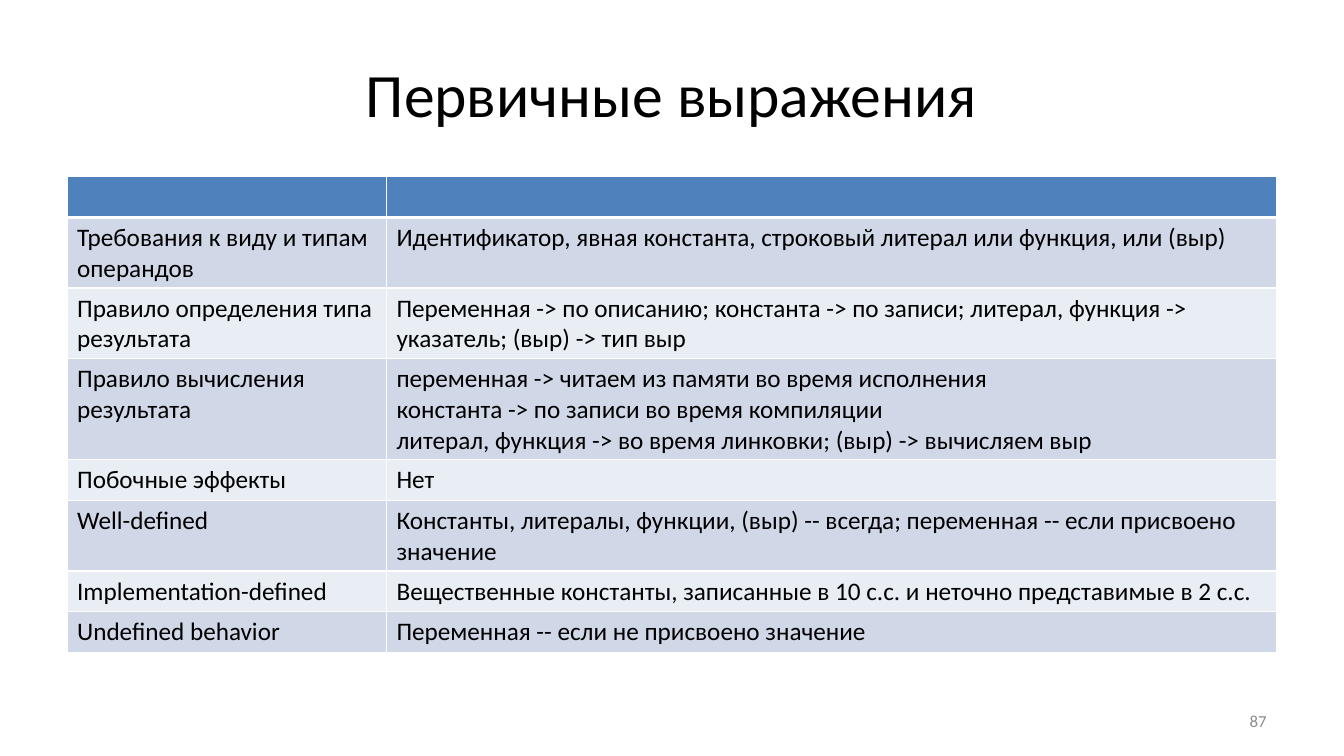
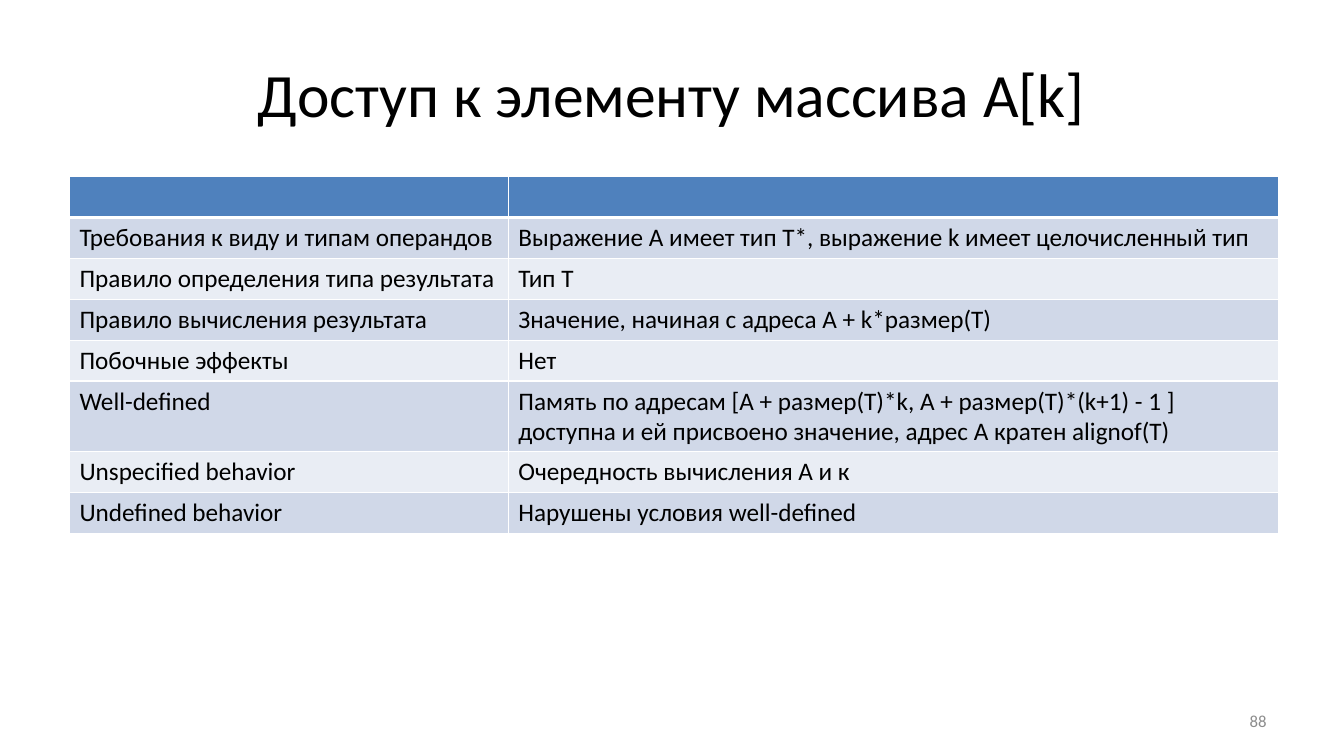
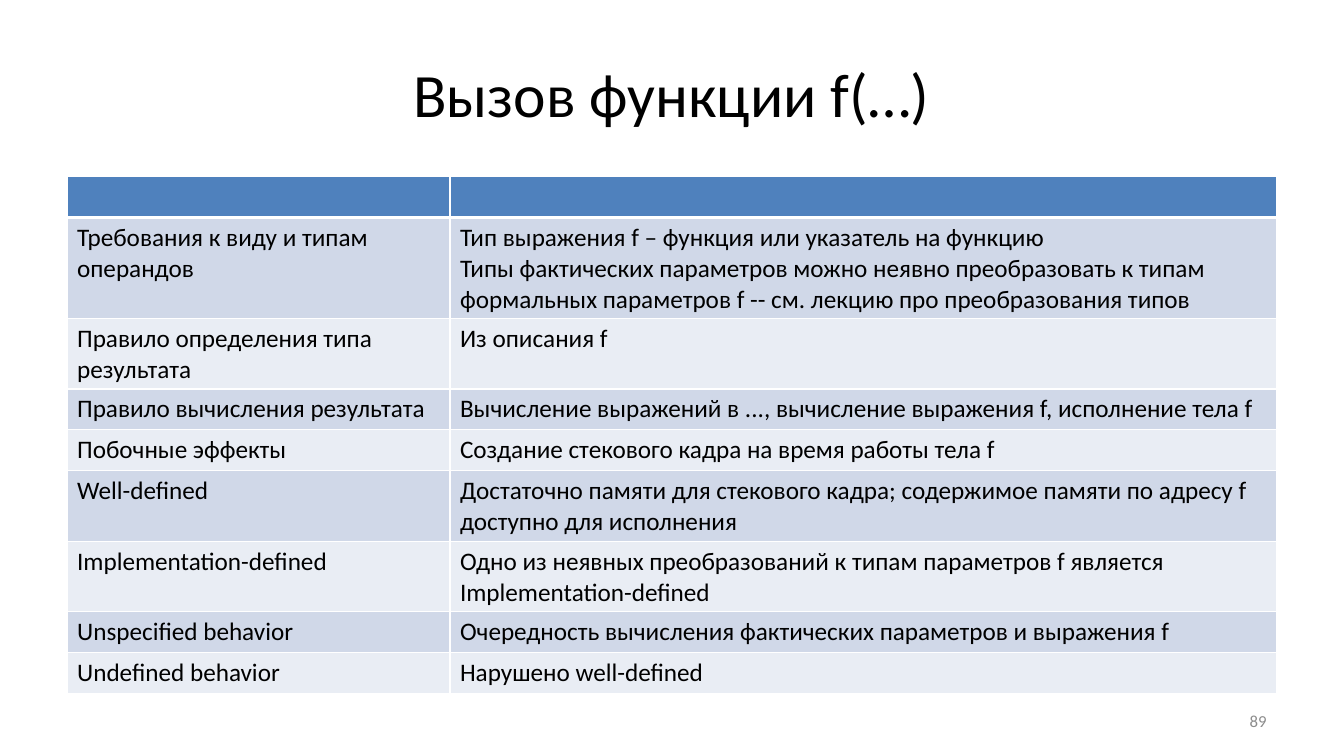
from lxml import etree
from pptx import Presentation
from pptx.dml.color import RGBColor
from pptx.enum import text
from pptx.oxml import ns
from pptx.util import Cm, Pt

BLACK = RGBColor(0x00, 0x00, 0x00)
WHITE = RGBColor(0xFF, 0xFF, 0xFF)
GREY = RGBColor(0x8C, 0x8C, 0x8C)
HEADER = RGBColor(0x4F, 0x81, 0xBD)
BANDS = (RGBColor(0xD0, 0xD8, 0xE8), RGBColor(0xE9, 0xED, 0xF4))

FONT = "Calibri"
MARGIN = 1.69
CONTENT_WIDTH = 30.48
FIRST_PAGE = 87

OPERANDS = "Требования к виду и типам операндов"
RESULT_TYPE = "Правило определения типа результата"
RESULT_VALUE = "Правило вычисления результата"
SIDE_EFFECTS = "Побочные эффекты"
WELL_DEFINED = "Well-defined"
IMPLEMENTATION = "Implementation-defined"
UNSPECIFIED = "Unspecified behavior"
UNDEFINED = "Undefined behavior"

# Each lecture page: title, table left edge, label column width, rules
PAGES = [
    ("Первичные выражения", MARGIN, 8.05, [
        (OPERANDS, "Идентификатор, явная константа, строковый литерал или функция, или (выр)"),
        (RESULT_TYPE, "Переменная -> по описанию; константа -> по записи; "
                      "литерал, функция -> указатель; (выр) -> тип выр"),
        (RESULT_VALUE, "переменная -> читаем из памяти во время исполнения\n"
                       "константа -> по записи во время компиляции\n"
                       "литерал, функция -> во время линковки; (выр) -> вычисляем выр"),
        (SIDE_EFFECTS, "Нет"),
        (WELL_DEFINED, "Константы, литералы, функции, (выр) -- всегда; "
                       "переменная -- если присвоено значение"),
        (IMPLEMENTATION, "Вещественные константы, записанные в 10 с.с. "
                         "и неточно представимые в 2 с.с."),
        (UNDEFINED, "Переменная -- если не присвоено значение"),
    ]),
    ("Доступ к элементу массива A[k]", 1.75, 11.06, [
        (OPERANDS, "Выражение A имеет тип T*, выражение k имеет целочисленный тип"),
        (RESULT_TYPE, "Тип Т"),
        (RESULT_VALUE, "Значение, начиная с адреса A + k*размер(T)"),
        (SIDE_EFFECTS, "Нет"),
        (WELL_DEFINED, "Память по адресам [A + размер(T)*k, A + размер(T)*(k+1) - 1 ] "
                       "доступна и ей присвоено значение, адрес А кратен alignof(Т)"),
        (UNSPECIFIED, "Очередность вычисления А и к"),
        (UNDEFINED, "Нарушены условия well-defined"),
    ]),
    ("Вызов функции f(…)", MARGIN, 9.65, [
        (OPERANDS, "Тип выражения f – функция или указатель на функцию\n"
                   "Типы фактических параметров можно неявно преобразовать к типам "
                   "формальных параметров f -- см. лекцию про преобразования типов"),
        (RESULT_TYPE, "Из описания f"),
        (RESULT_VALUE, "Вычисление выражений в ..., вычисление выражения f, исполнение тела f"),
        (SIDE_EFFECTS, "Создание стекового кадра на время работы тела f"),
        (WELL_DEFINED, "Достаточно памяти для стекового кадра; "
                       "содержимое памяти по адресу f доступно для исполнения"),
        (IMPLEMENTATION, "Одно из неявных преобразований к типам параметров f "
                         "является Implementation-defined"),
        (UNSPECIFIED, "Очередность вычисления фактических параметров и выражения f"),
        (UNDEFINED, "Нарушено well-defined"),
    ]),
]


class Deck:
    """Holds the shared style and the slide being filled."""

    def __init__(self):
        self.presentation = Presentation()
        self.presentation.slide_width = Cm(33.87)
        self.presentation.slide_height = Cm(19.05)
        self.slide = None

    def add_slide(self, title, page):
        layout = self.presentation.slide_layouts[5]
        self.slide = self.presentation.slides.add_slide(layout)
        self.add_title(title)
        self.add_page_number(page)

    def set_text(self, frame, content, size, color=BLACK, align=text.PP_ALIGN.LEFT):
        frame.text = content
        for paragraph in frame.paragraphs:
            paragraph.alignment = align
            for run in paragraph.runs:
                run.font.name = FONT
                run.font.size = Pt(size)
                run.font.bold = False
                run.font.color.rgb = color

    def add_title(self, content):
        title = self.slide.shapes.title
        title.left, title.top = Cm(MARGIN), Cm(0.76)
        title.width, title.height = Cm(CONTENT_WIDTH), Cm(3.18)
        title.text_frame.vertical_anchor = text.MSO_ANCHOR.MIDDLE
        self.set_text(title.text_frame, content, 44, align=text.PP_ALIGN.CENTER)

    def add_page_number(self, page):
        width = 7.9
        left = MARGIN + CONTENT_WIDTH - width
        number = self.slide.shapes.add_textbox(Cm(left), Cm(17.65), Cm(width), Cm(1.01))
        number.text_frame.word_wrap = True
        number.text_frame.vertical_anchor = text.MSO_ANCHOR.MIDDLE
        self.set_text(number.text_frame, str(page), 12, GREY, text.PP_ALIGN.RIGHT)

    def add_rules(self, left, label_width, rules):
        """Add a banded two-column table under an empty header row."""
        rows = [("", "")] + rules
        row_height = Cm(1.03)
        table = self.slide.shapes.add_table(
            len(rows), 2, Cm(left), Cm(4.45), Cm(CONTENT_WIDTH), row_height * len(rows)).table
        table.columns[0].width = Cm(label_width)
        table.columns[1].width = Cm(CONTENT_WIDTH - label_width)
        for index, row in enumerate(rows):
            table.rows[index].height = row_height
            fill = BANDS[(index - 1) % 2] if index else HEADER
            for column, content in enumerate(row):
                cell = table.cell(index, column)
                self.add_borders(cell, top=3 if index == 1 else 1, bottom=1 if index else 3)
                cell.fill.solid()
                cell.fill.fore_color.rgb = fill
                self.set_text(cell.text_frame, content, 18)

    def add_borders(self, cell, top, bottom):
        properties = cell._tc.get_or_add_tcPr()
        for side, width in (("L", 1), ("R", 1), ("T", top), ("B", bottom)):
            line = etree.SubElement(properties, ns.qn(f"a:ln{side}"), w=str(Pt(width)))
            solid = etree.SubElement(line, ns.qn("a:solidFill"))
            etree.SubElement(solid, ns.qn("a:srgbClr"), val=str(WHITE))


def main():
    deck = Deck()
    for page, (title, left, label_width, rules) in enumerate(PAGES, FIRST_PAGE):
        deck.add_slide(title, page)
        deck.add_rules(left, label_width, rules)
    deck.presentation.save("out.pptx")


if __name__ == "__main__":
    main()
